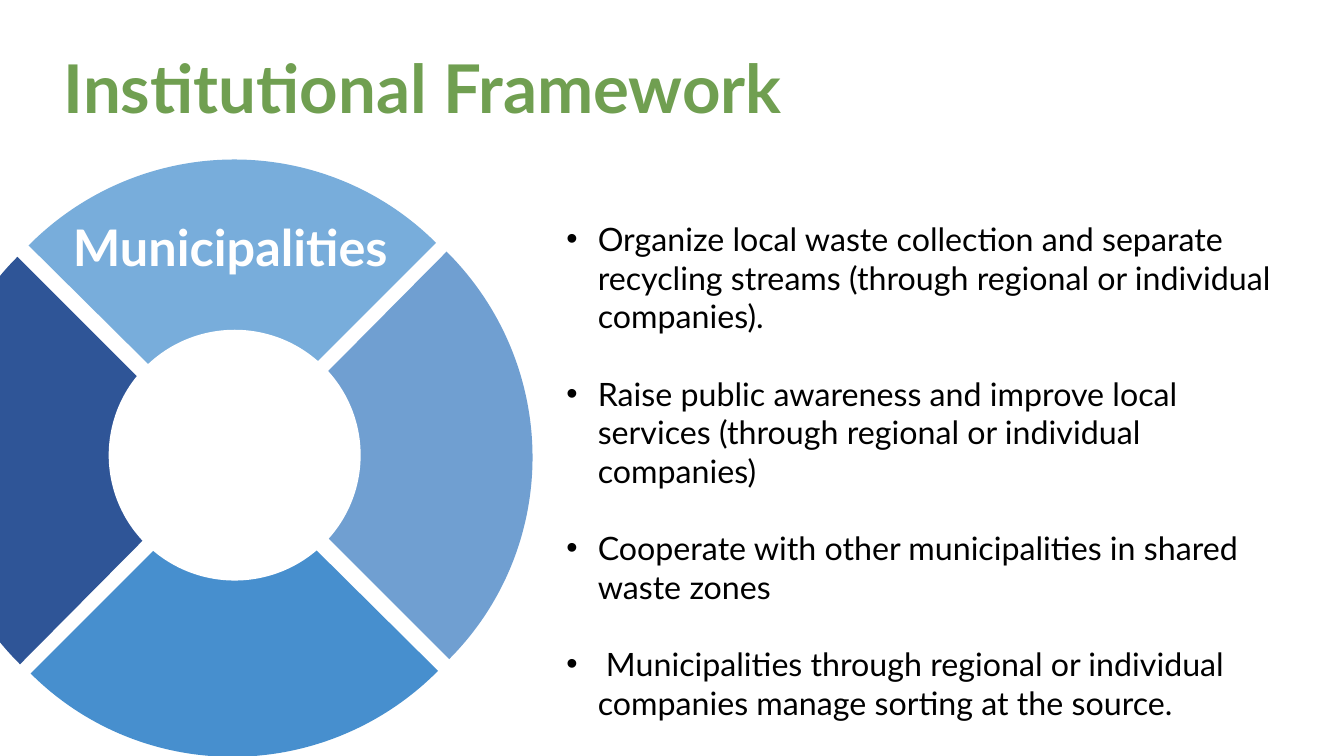
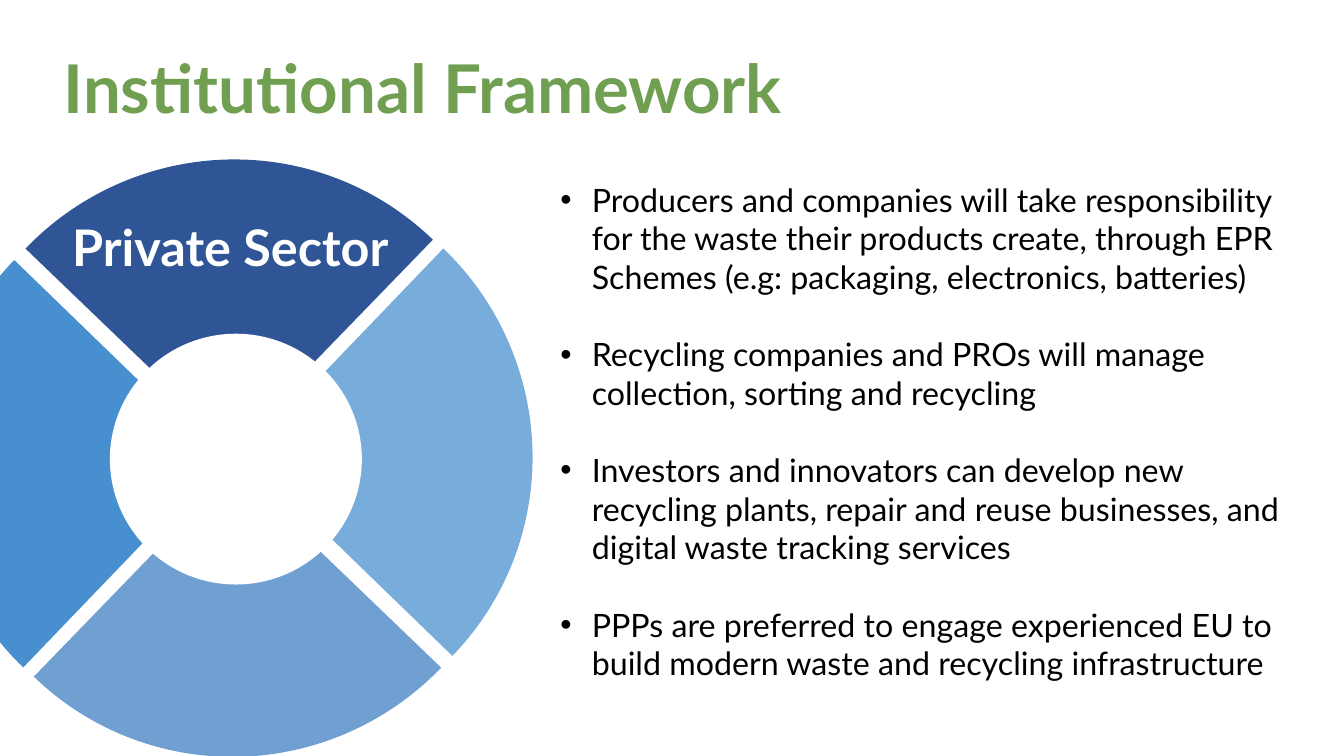
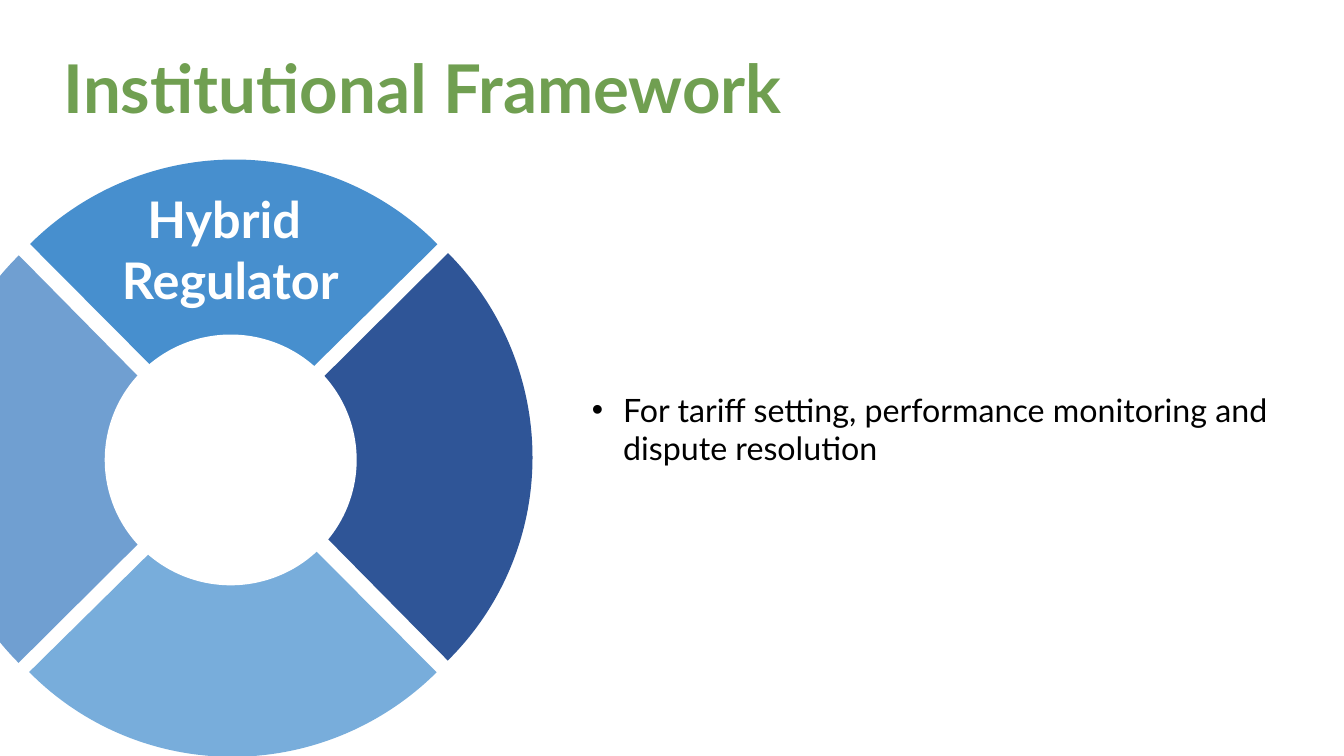
from pptx import Presentation
from pptx.dml.color import RGBColor
from pptx.enum.shapes import MSO_SHAPE
from pptx.enum.text import MSO_AUTO_SIZE, PP_ALIGN
from pptx.util import Cm, Pt

PIE, OVAL = MSO_SHAPE.PIE, MSO_SHAPE.OVAL
LEFT, CENTER = PP_ALIGN.LEFT, PP_ALIGN.CENTER
NO_AUTOFIT = MSO_AUTO_SIZE.NONE

FONT = "Lato"
GREEN, WHITE, BLACK = "709F51", "FFFFFF", "000000"
# Ring colours clockwise from the top; each slide turns them one step further
RING_COLORS = ["78ADDB", "709FD1", "478FCE", "2F5597"]
# Left and top of the pie pieces, clockwise from the top
PIECE_POSITIONS = [(-1.37, 3.99), (-1.04, 4.19), (-1.3, 4.55), (-1.63, 4.34)]
PIECE_SIZE = (Cm(14.43), Cm(14.55))
HOLE_SIZE = (Cm(6.35), Cm(6.32))
BULLET_INDENT = Cm(0.79)

SLIDES = [
    {
        "label": "Municipalities",
        "label_top": 5.31,
        "ring_tilt": 0,
        "hole": (2.74, 8.31),
        "list_box": (14.02, 5.4, 18.9, 12.07),
        "bullets": [
            "Organize local waste collection and separate recycling streams "
            "(through regional or individual companies).",
            "Raise public awareness and improve local services "
            "(through regional or individual companies)",
            "Cooperate with other municipalities in shared waste zones",
            " Municipalities through regional or individual companies "
            "manage sorting at the source.",
        ],
    },
    {
        "label": "Private Sector",
        "label_top": 5.31,
        "ring_tilt": -0.9,
        "hole": (2.77, 8.41),
        "list_box": (13.87, 4.41, 19.13, 13.03),
        "bullets": [
            "Producers and companies will take responsibility for the waste their "
            "products create, through EPR Schemes (e.g: packaging, electronics, batteries)",
            "Recycling companies and PROs will manage collection, sorting and recycling",
            "Investors and innovators can develop new recycling plants, repair and reuse "
            "businesses, and digital waste tracking services",
            "PPPs are preferred to engage experienced EU to build modern waste "
            "and recycling infrastructure",
        ],
    },
    {
        "label": "Hybrid \vRegulator",
        "label_top": 4.62,
        "ring_tilt": 0.4,
        "hole": (2.64, 8.43),
        "list_box": (14.66, 9.7, 17.78, 2.24),
        "bullets": ["For tariff setting, performance monitoring and dispute resolution"],
    },
]


def style_paragraph(paragraph, size, color, bold=False, alignment=LEFT):
    paragraph.alignment = alignment
    paragraph.font.name = FONT
    paragraph.font.size = Pt(size)
    paragraph.font.bold = bold
    paragraph.font.color.rgb = RGBColor.from_string(color)


def add_plain_shape(slide, kind, position, size, color):
    """Add a filled shape without outline or shadow."""
    left, top = position
    shape = slide.shapes.add_shape(kind, Cm(left), Cm(top), *size)
    shape.shadow.inherit = False
    shape.fill.solid()
    shape.fill.fore_color.rgb = RGBColor.from_string(color)
    shape.line.fill.background()
    return shape


presentation = Presentation()
presentation.slide_width = Cm(33.87)
presentation.slide_height = Cm(19.05)

layout = presentation.slide_layouts[1]
layout_title = layout.placeholders[0]
layout_title.left, layout_title.top = Cm(1.35), Cm(1.02)
layout_title.width, layout_title.height = Cm(27.13), Cm(2.31)

for step, content in enumerate(SLIDES):
    slide = presentation.slides.add_slide(layout)

    title = slide.shapes.title
    title.text_frame.text = "Institutional Framework"
    title.text_frame.auto_size = NO_AUTOFIT
    style_paragraph(title.text_frame.paragraphs[0], 48, GREEN, bold=True)

    body = slide.placeholders[1]
    body.left, body.top, body.width, body.height = map(Cm, content["list_box"])
    body.text_frame.text = "\n".join(content["bullets"])
    body.text_frame.auto_size = NO_AUTOFIT
    for index, paragraph in enumerate(body.text_frame.paragraphs):
        properties = paragraph._p.get_or_add_pPr()
        properties.set("marL", str(BULLET_INDENT))
        properties.set("indent", str(-BULLET_INDENT))
        paragraph.space_before = Pt(27.6 if index else 0)
        style_paragraph(paragraph, 23, BLACK)

    for quarter, position in enumerate(PIECE_POSITIONS):
        color = RING_COLORS[(quarter - step) % len(RING_COLORS)]
        piece = add_plain_shape(slide, PIE, position, PIECE_SIZE, color)
        piece.adjustments[0] = 107.85
        piece.adjustments[1] = 162
        piece.rotation = 45 + 90 * quarter + content["ring_tilt"]
    add_plain_shape(slide, OVAL, content["hole"], HOLE_SIZE, WHITE)

    label = slide.shapes.add_textbox(
        Cm(-0.15), Cm(content["label_top"]), Cm(11.91), Cm(1.8))
    label.text_frame.word_wrap = True
    label.text_frame.text = content["label"]
    style_paragraph(label.text_frame.paragraphs[0], 36, WHITE, bold=True, alignment=CENTER)

presentation.save("out.pptx")
